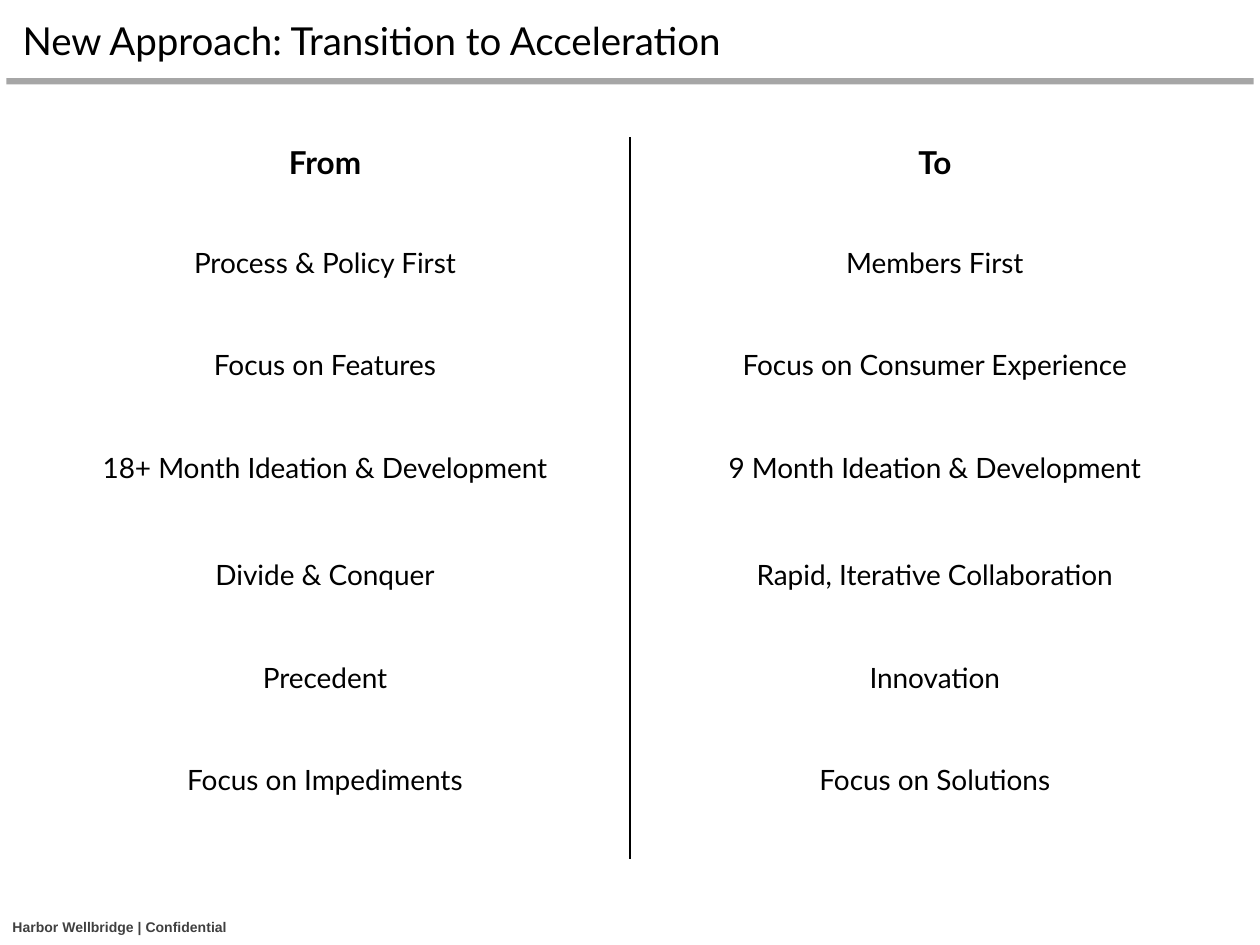
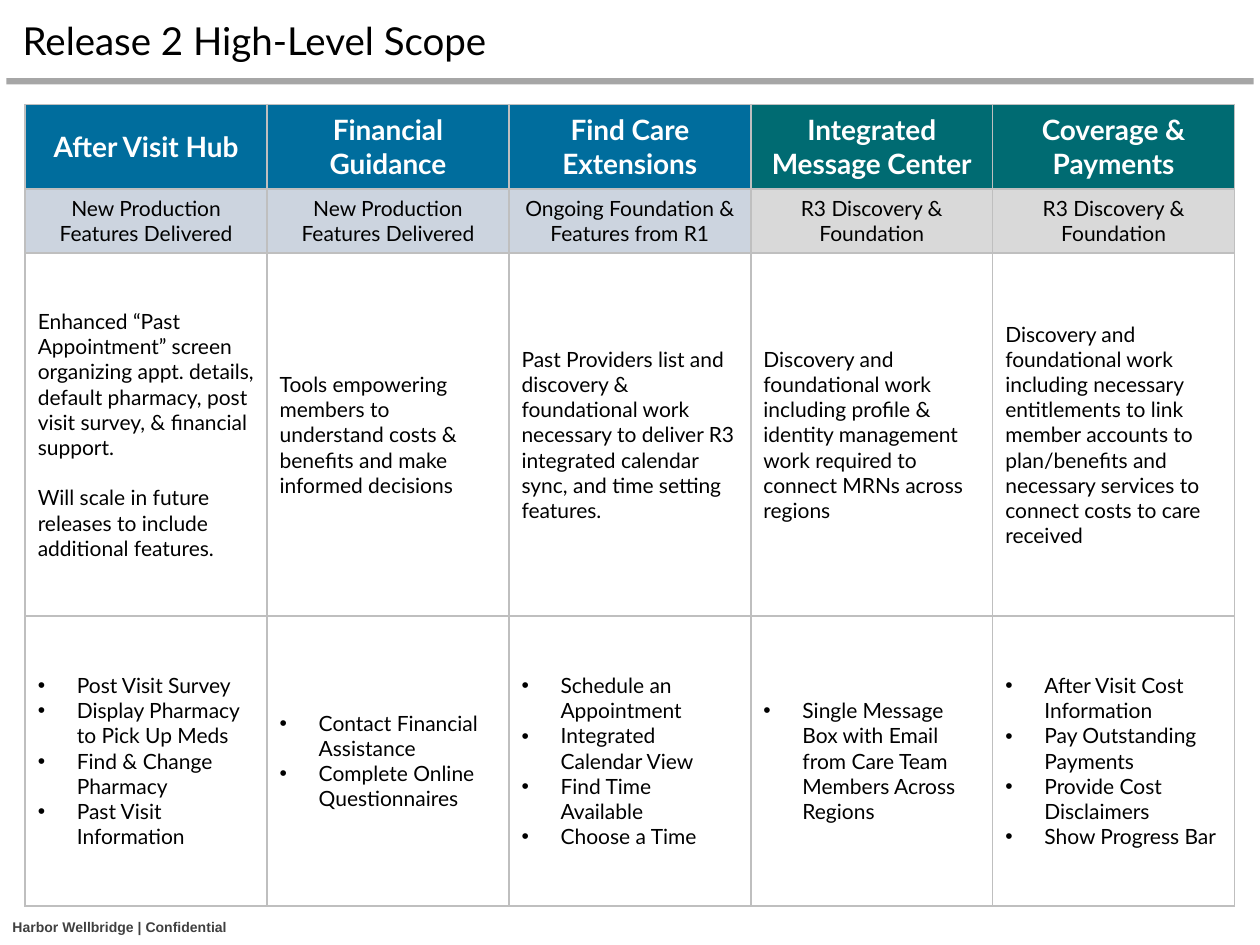
from lxml import etree
from pptx import Presentation
from pptx.dml.color import RGBColor
from pptx.enum import shapes, text
from pptx.oxml import ns
from pptx.util import Inches, Pt

HUE = {"ink": "000000", "paper": "FFFFFF", "band": "A6A6A6", "foot": "404040",
       "grid": "BFBFBF", "blue": "006D9D", "teal": "006B72",
       "mist": "CCD4DF", "gray": "D9D9D9"}
FACE = "Lato"
PLAIN = "{2D5ABB26-0587-4C30-8999-92F81FD0307C}"
LEFT, MID = text.PP_ALIGN.LEFT, text.PP_ALIGN.CENTER

SHIFTS = [
    ("From", "To"),
    ("Process & Policy First", "Members First"),
    ("Focus on Features", "Focus on Consumer Experience"),
    ("18+ Month Ideation & Development", "9 Month Ideation & Development"),
    ("Divide & Conquer", "Rapid, Iterative Collaboration"),
    ("Precedent", "Innovation"),
    ("Focus on Impediments", "Focus on Solutions"),
]
NEW = ("New Production Features Delivered", "blue", "mist")
NEXT = ("R3 Discovery & Foundation", "teal", "gray")
SCOPE = [
    ("After Visit Hub", NEW,
     ["Enhanced “Past Appointment” screen organizing appt. details, default "
      "pharmacy, post visit survey, & financial support.",
      "Will scale in future releases to include additional features."],
     ["Post Visit Survey", "Display Pharmacy to Pick Up Meds",
      "Find & Change Pharmacy", "Past Visit Information"]),
    ("Financial Guidance", NEW,
     ["Tools empowering members to understand costs & benefits and make "
      "informed decisions"],
     ["Contact Financial Assistance", "Complete Online Questionnaires"]),
    ("Find Care Extensions",
     ("Ongoing Foundation & Features from R1", "blue", "mist"),
     ["Past Providers list and discovery & foundational work necessary to "
      "deliver R3 integrated calendar sync, and time setting features."],
     ["Schedule an Appointment", "Integrated Calendar View",
      "Find Time Available", "Choose a Time"]),
    ("Integrated Message Center", NEXT,
     ["Discovery and foundational work including profile & identity "
      "management work required to connect MRNs across regions"],
     ["Single Message Box with Email from Care Team Members Across Regions"]),
    ("Coverage & Payments", NEXT,
     ["Discovery and foundational work including necessary entitlements to "
      "link member accounts to plan/benefits and necessary services to "
      "connect costs to care received"],
     ["After Visit Cost Information", "Pay Outstanding Payments",
      "Provide Cost Disclaimers", "Show Progress Bar"]),
]


def tint(name):
    """Return the named colour."""
    return RGBColor.from_string(HUE[name])


def dot(para):
    """Give a paragraph a hanging bullet."""
    props = para._p.get_or_add_pPr()
    props.set("marL", str(Inches(0.31)))
    props.set("indent", str(-Inches(0.31)))
    font = etree.SubElement(props, ns.qn("a:buFont"))
    font.set("typeface", "Arial")
    etree.SubElement(props, ns.qn("a:buChar")).set("char", "•")


def write(frame, lines, size, hue="ink", bold=False, align=LEFT,
          face=FACE, gap=0, bullet=False):
    """Fill a text frame with evenly styled paragraphs."""
    for i, line in enumerate(lines):
        para = frame.add_paragraph() if i else frame.paragraphs[0]
        para.text = line
        para.alignment = align
        if i and gap:
            para.space_before = Pt(gap)
        if bullet:
            dot(para)
        font = para.font
        font.name, font.size, font.bold = face, Pt(size), bold
        font.color.rgb = tint(hue)


def edge(cell, sides, hue):
    """Draw one-point borders on the given sides of a cell."""
    props = cell._tc.get_or_add_tcPr()
    for side in sides:
        line = etree.SubElement(props, ns.qn("a:ln" + side), w=str(Pt(1)))
        fill = etree.SubElement(line, ns.qn("a:solidFill"))
        etree.SubElement(fill, ns.qn("a:srgbClr")).set("val", HUE[hue])


def grid(slide, box, highs, cols):
    """Add an unstyled table with the given row heights and equal columns."""
    left, top, wide = box
    table = slide.shapes.add_table(
        len(highs), cols, Inches(left), Inches(top),
        Inches(wide), Inches(sum(highs))).table
    table.first_row = table.horz_banding = False
    table._tbl.tblPr.find(ns.qn("a:tableStyleId")).text = PLAIN
    for row, high in zip(table.rows, highs):
        row.height = Inches(high)
    return table


def frame(deck, title):
    """Add a slide with its title, band and footer."""
    slide = deck.slides.add_slide(deck.slide_layouts[5])
    foot = slide.shapes.add_textbox(
        Inches(0), Inches(7.22), Inches(2.22), Inches(0.25)).text_frame
    foot.word_wrap = True
    foot.vertical_anchor = text.MSO_ANCHOR.BOTTOM
    write(foot, ["Harbor Wellbridge | Confidential"], 8, "foot", True,
          face="Arial")
    band = slide.shapes.add_shape(
        shapes.MSO_SHAPE.RECTANGLE,
        Inches(0.05), Inches(0.62), Inches(9.9), Inches(0.05))
    band.shadow.inherit = False
    band.fill.solid()
    band.fill.fore_color.rgb = tint("band")
    band.line.fill.background()
    head = slide.shapes.title
    head.left, head.top = Inches(0.18), Inches(0.06)
    head.width, head.height = Inches(8.28), Inches(0.52)
    body = head.text_frame
    body.margin_left = body.margin_right = 0
    body.margin_top = body.margin_bottom = 0
    body.auto_size = text.MSO_AUTO_SIZE.NONE
    body.vertical_anchor = text.MSO_ANCHOR.MIDDLE
    write(body, [title], 22)
    return slide


def shift(slide, box):
    """Lay out the from and to columns, with a spare row after each pair."""
    left, top, wide, high = box
    count = 2 * len(SHIFTS)
    tall = 0.45
    highs = [(high - tall) / (count - 1)] * count
    highs[6] = tall
    table = grid(slide, (left, top, wide), highs, 2)
    for r in range(count):
        edge(table.cell(r, 0), "R", "ink")
        edge(table.cell(r, 1), "L", "ink")
    for i, pair in enumerate(SHIFTS):
        for c, line in enumerate(pair):
            write(table.cell(2 * i, c).text_frame, [line],
                  16 if i else 18, bold=not i, align=MID)


def scope(slide, box):
    """Lay out one column for each area of the release."""
    table = grid(slide, box, [0.67, 0.51, 2.88, 2.3], len(SCOPE))
    for c, (name, (stage, dark, pale), about, items) in enumerate(SCOPE):
        cells = [table.cell(r, c) for r in range(4)]
        for cell, hue in zip(cells, (dark, pale, None, None)):
            cell.vertical_anchor = text.MSO_ANCHOR.MIDDLE
            edge(cell, "LRTB", "grid")
            if hue:
                cell.fill.solid()
                cell.fill.fore_color.rgb = tint(hue)
        top, sub, mid, low = [cell.text_frame for cell in cells]
        write(top, [name], 16, "paper", True, MID)
        write(sub, [stage], 12, align=MID)
        write(mid, about, 12, gap=14.4)
        write(low, items, 12, bullet=True)


def main():
    """Build and save the deck."""
    deck = Presentation()
    deck.slide_width, deck.slide_height = Inches(10), Inches(7.5)
    shift(frame(deck, "New Approach: Transition to Acceleration"),
          (0.16, 1.09, 9.68, 5.73))
    scope(frame(deck, "Release 2 High-Level Scope"), (0.2, 0.83, 9.6))
    deck.save("out.pptx")


if __name__ == "__main__":
    main()
